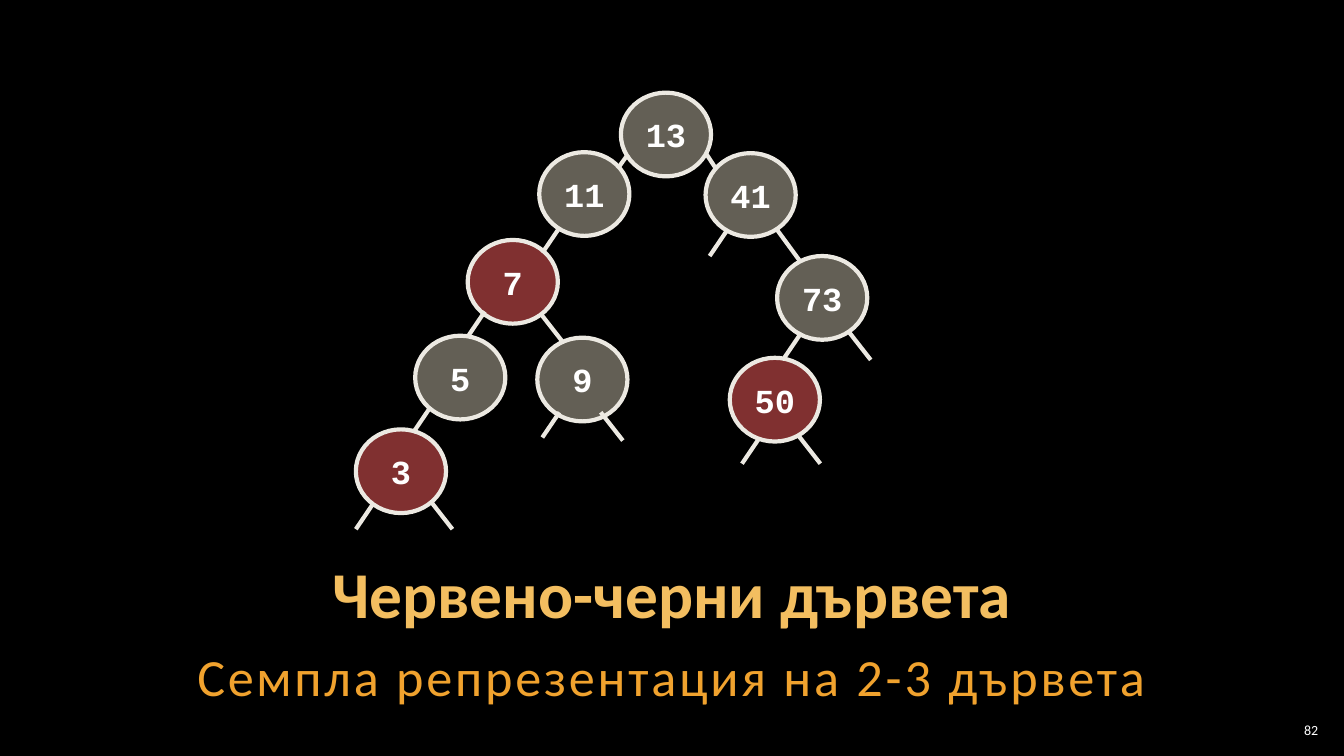
import pptx
import pptx.util
import pptx.dml.color
import pptx.enum.shapes
import pptx.enum.text
import pptx.oxml.ns
from lxml import etree

Pt = pptx.util.Pt
qn = pptx.oxml.ns.qn
ALIGN = pptx.enum.text.PP_ALIGN
ANCHOR = pptx.enum.text.MSO_ANCHOR

HUES = {"back": "000000", "title": "F3BE60", "sub": "F0A22E", "text": "FFFFFF",
        "line": "ECE9E2", "black": "C6BEAB", "red": "FF6161"}

NODES = [("13", 443.5, 66.2, "black"), ("41", 504, 109.4, "black"),
         ("73", 555.1, 182.9, "black"), ("11", 385.2, 108.7, "black"),
         ("50", 521.3, 255.6, "red"), ("7", 334.1, 171.4, "red"),
         ("9", 383.8, 241.2, "black"), ("5", 296.6, 239.8, "black"),
         ("3", 254.2, 306.7, "red")]
UNDER = [(555.1, 164.2, 15.8, 21.6), (504.7, 110.2, 6.5, 10),
         (448.6, 110.2, -7.2, 10)]
LEFT = [(572.4, 237.6), (519.1, 164.9), (399.6, 162.7), (346.3, 222.5),
        (307.4, 290.9), (266.4, 360), (399.6, 294.5), (542.2, 313.2)]
RIGHT = [(606.2, 236.9), (386.6, 224.6), (570.2, 311), (429.1, 294.5),
         (307.4, 357.8)]


def color(name):
    return pptx.dml.color.RGBColor.from_string(HUES[name])


def write(shape, text, size, hue, face="Calibri", bold=False, align=ALIGN.CENTER,
          anchor=ANCHOR.MIDDLE, inset=(3, 3), space=1, track=0):
    frame = shape.text_frame
    frame.text = text
    frame.word_wrap = True
    frame.auto_size = pptx.enum.text.MSO_AUTO_SIZE.NONE
    frame.vertical_anchor = anchor
    frame.margin_left = frame.margin_right = Pt(inset[0])
    frame.margin_top = frame.margin_bottom = Pt(inset[1])
    par = frame.paragraphs[0]
    props = par._p.get_or_add_pPr()
    props.set("marL", "0")
    props.set("indent", "0")
    etree.SubElement(props, qn("a:buNone"))
    par.alignment = align
    par.line_spacing = space
    par.space_before = Pt(0)
    font = par.font
    font.size = Pt(size)
    font.name = face
    font.bold = bold
    font.color.rgb = color(hue)
    if track:
        props.find(qn("a:defRPr")).set("spc", str(track * 100))


def place(shape, left, top, width, height):
    shape.left, shape.top = Pt(left), Pt(top)
    shape.width, shape.height = Pt(width), Pt(height)


def branch(slide, x, y, dx, dy):
    line = slide.shapes.add_connector(pptx.enum.shapes.MSO_CONNECTOR.STRAIGHT,
                                      Pt(x), Pt(y), Pt(x + dx), Pt(y + dy))
    line.line.color.rgb = color("line")
    line.line.width = Pt(3)
    etree.SubElement(line._element.spPr, qn("a:effectLst"))


def node(slide, text, x, y, hue):
    oval = slide.shapes.add_shape(pptx.enum.shapes.MSO_SHAPE.OVAL,
                                  Pt(x), Pt(y), Pt(64.4), Pt(59.8))
    oval.shadow.inherit = False
    oval.fill.solid()
    oval.fill.fore_color.rgb = color(hue)
    tint = oval._element.spPr.find(qn("a:solidFill"))[0]
    etree.SubElement(tint, qn("a:alpha")).set("val", "50000")
    oval.line.color.rgb = color("line")
    oval.line.width = Pt(3)
    write(oval, text, 24, "text", "Courier New", True, inset=(7.2, 3.6))


def main():
    deck = pptx.Presentation()
    deck.slide_width, deck.slide_height = Pt(960), Pt(540)
    slide = deck.slides.add_slide(deck.slide_layouts[1])
    slide.background.fill.solid()
    slide.background.fill.fore_color.rgb = color("back")

    title, body = slide.placeholders
    place(title, 72, 390.2, 816, 64.8)
    write(title, "Червено-черни дървета", 46.7, "title", bold=True,
          anchor=ANCHOR.BOTTOM, space=0.9)
    place(body, 72, 455, 816, 56.9)
    write(body, "Семпла репрезентация на 2-3 дървета", 37.3, "sub",
          anchor=ANCHOR.TOP, space=1.05, track=2)

    for edge in UNDER:
        branch(slide, *edge)
    for item in NODES:
        node(slide, *item)
    for x, y in LEFT:
        branch(slide, x, y, -12.2, 18)
    for x, y in RIGHT:
        branch(slide, x, y, 15.8, 20.2)

    page = slide.shapes.add_textbox(Pt(910.8), Pt(514.1), Pt(33.8), Pt(15.1))
    write(page, "82", 10, "text", align=ALIGN.RIGHT)
    deck.save("out.pptx")


if __name__ == "__main__":
    main()
